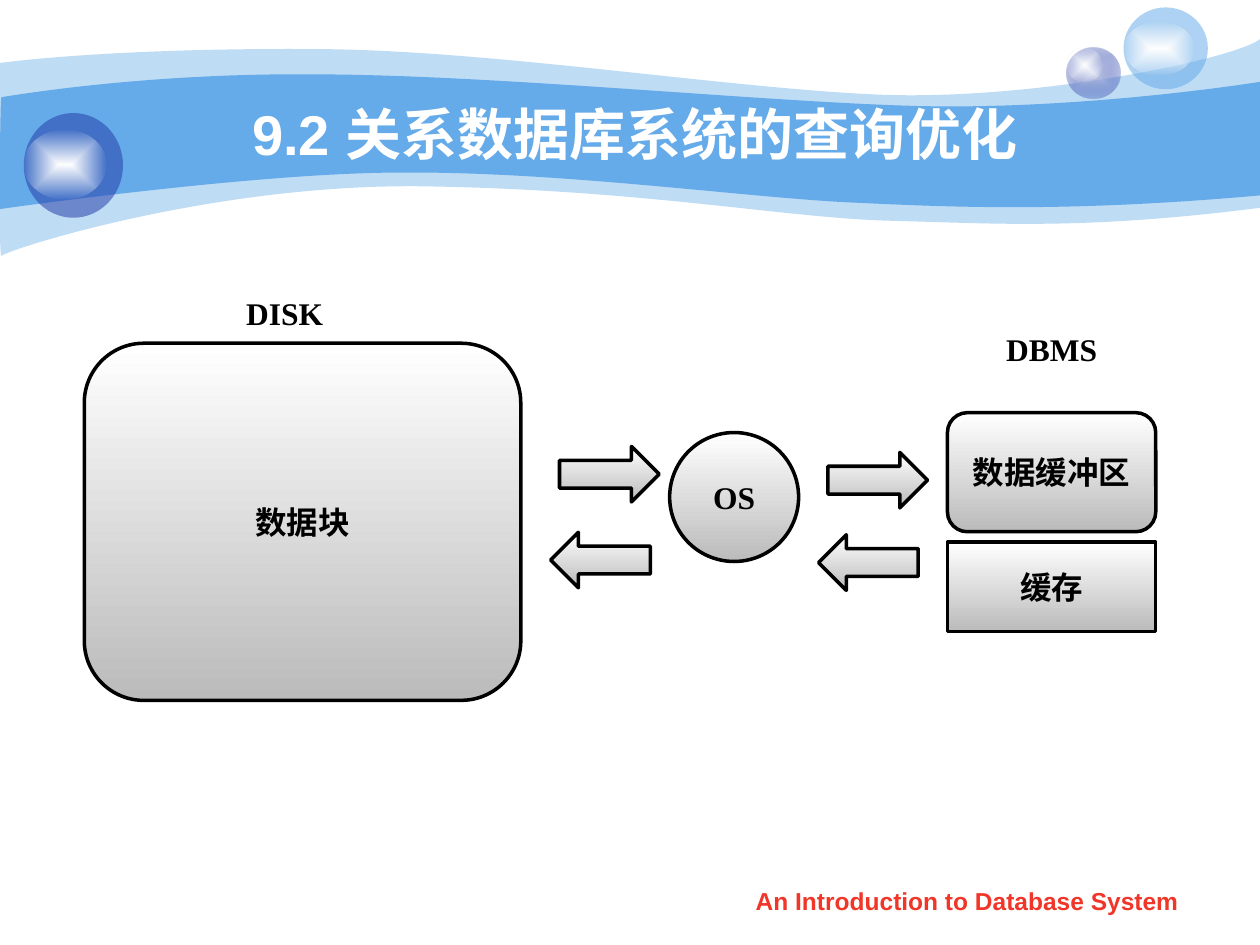
from lxml import etree
from pptx import Presentation
from pptx.dml.color import RGBColor
from pptx.enum.shapes import MSO_SHAPE
from pptx.enum.text import MSO_ANCHOR, PP_ALIGN
from pptx.oxml import parse_xml
from pptx.oxml.ns import nsdecls, qn
from pptx.util import Cm, Pt

COLORS = {
    "sky": "65AAE9", "navy": "233DA9", "lavender": "C7CEE9", "white": "FFFFFF",
    "gray": "BBBBBB", "black": "000000", "red": "F03628",
}
SERIF, SANS = "Times New Roman", "Arial"

# Content: all lengths in centimetres, boxes as left, top, width, height
TITLE = ("9.2 关系数据库系统的查询优化", (2.54, 1.9, 20.53, 1.58))
FOOTER = ("An Introduction to Database System", (14.5, 17.73, 10, 0.89))
LABELS = [
    ("DISK", (4.71, 5.8, 2.06, 1.02)),
    ("DBMS", (20.03, 6.53, 2.34, 1.02)),
]
NODES = [
    ("数据块", MSO_SHAPE.ROUNDED_RECTANGLE, (1.7, 6.92, 8.8, 7.2)),
    ("数据缓冲区", MSO_SHAPE.ROUNDED_RECTANGLE, (19.1, 8.32, 4.2, 2.4)),
    ("OS", MSO_SHAPE.OVAL, (13.5, 8.72, 2.6, 2.6)),
    ("缓存", MSO_SHAPE.RECTANGLE, (19.1, 10.93, 4.2, 1.8)),
]
ARROW_SIZE = (2.01, 1.12)
ARROWS = [(11.28, 9, 0), (16.69, 9.12, 0), (11.1, 10.73, 180), (16.5, 10.78, 180)]

# Waves: start point, then Bezier segments (six numbers) and lines (two numbers)
WAVES = [
    (41, (0, 1.27), [
        (0.61, 1.19, 2.72, 0.97, 6.27, 0.99), (9.8, 0.99, 14.61, 1.78, 17.75, 1.91),
        (20.88, 2.03, 24.89, 1.19, 25.4, 0.79), (25.4, 4.19),
        (21.79, 4.65, 19.99, 4.5, 17.91, 4.45), (15.8, 4.39, 13.08, 3.84, 8.71, 3.76),
        (4.37, 3.66, 0.1, 5.05, 0.03, 5.16), (-0.03, 5.28, 0, 1.91, 0, 1.27)]),
    (100, (0.03, 1.96), [
        (0.05, 1.96, 2.79, 1.47, 6.3, 1.5), (9.8, 1.5, 15.11, 2.03, 18.24, 2.13),
        (21.36, 2.24, 24.79, 1.75, 25.4, 1.65), (25.4, 3.94),
        (21.67, 4.27, 19.43, 4.19, 17.32, 4.09), (15.21, 4.01, 11.35, 3.45, 8.05, 3.48),
        (5.16, 3.48, -0.05, 4.22, -0.03, 4.22), (0, 4.22, 0, 1.96, 0.03, 1.96)]),
]
# Bubbles: body box, body stops (colour, opacity), highlight box
BUBBLES = [
    ((21.51, 0.97, 1.07, 1.02), [("lavender", 100), ("navy", 31)], (21.51, 0.97, 0.71, 0.69)),
    ((22.65, 0.15, 1.7, 1.65), [("sky", 53)], (22.65, 0.43, 1.42, 1.09)),
    ((0.48, 2.28, 2, 2.11), [("navy", 53)], (0.48, 2.61, 1.67, 1.42)),
]
HIGHLIGHT = [("white", 100), ("white", 0)]
PANEL = [("white", 100), ("gray", 100)]


def color_of(name):
    return RGBColor.from_string(COLORS[name])


def lengths(values):
    return [Cm(value) for value in values]


def color_xml(name, opacity):
    alpha = f'<a:alpha val="{opacity * 1000}"/>' if opacity < 100 else ""
    return f'<a:srgbClr {nsdecls("a")} val="{COLORS[name]}">{alpha}</a:srgbClr>'


def paint(shape, stops, radial=False, line=None):
    """Fill with one colour or a two-stop gradient, and set the outline."""
    shape.shadow.inherit = False
    shape.fill.solid()
    shape.fill.fore_color.rgb = color_of(stops[0][0])
    solid = shape._element.spPr.find(qn("a:solidFill"))
    if len(stops) == 1:
        solid.replace(solid[0], parse_xml(color_xml(*stops[0])))
    else:
        stop_xml = "".join(
            f'<a:gs pos="{position}">{color_xml(*stop)}</a:gs>'
            for position, stop in zip((0, 100000), stops))
        direction = (
            '<a:path path="rect"><a:fillToRect l="50000" t="50000" r="50000" b="50000"/></a:path>'
            if radial else '<a:lin ang="5400000" scaled="0"/>')
        gradient = parse_xml(
            f'<a:gradFill {nsdecls("a")} rotWithShape="0"><a:gsLst>{stop_xml}</a:gsLst>'
            f'{direction}</a:gradFill>')
        solid.getparent().replace(solid, gradient)
    if line:
        shape.line.color.rgb = color_of(line)
        shape.line.width = Pt(2)
    else:
        shape.line.fill.background()


def write(shape, text, size=18, font=SERIF, color="black", anchor=MSO_ANCHOR.MIDDLE, wrap=False):
    frame = shape.text_frame
    frame.word_wrap = wrap
    frame.vertical_anchor = anchor
    paragraph = frame.paragraphs[0]
    paragraph.alignment = PP_ALIGN.CENTER
    run = paragraph.add_run()
    run.text = text
    run.font.size = Pt(size)
    run.font.name = font
    run.font.bold = True
    run.font.color.rgb = color_of(color)


def add_curve(shapes, start, segments):
    """Build an outline through all points, then join each three into a Bezier curve."""
    builder = shapes.build_freeform(*lengths(start))
    for segment in segments:
        points = zip(segment[::2], segment[1::2])
        builder.add_line_segments([lengths(point) for point in points], close=False)
    shape = builder.convert_to_shape()
    outline = next(shape._element.iter(qn("a:path")))
    steps = iter(outline.findall(qn("a:lnTo")))
    for segment in segments:
        first = next(steps)
        if len(segment) == 6:
            curve = etree.Element(qn("a:cubicBezTo"))
            outline.replace(first, curve)
            curve.append(first[0])
            for step in (next(steps), next(steps)):
                curve.append(step[0])
                outline.remove(step)
    etree.SubElement(outline, qn("a:close"))
    return shape


def main():
    presentation = Presentation()
    presentation.slide_width, presentation.slide_height = Cm(25.4), Cm(19.05)
    slide = presentation.slides.add_slide(presentation.slide_layouts[5])
    shapes = slide.shapes
    title = shapes.title

    # Header waves
    for opacity, start, segments in WAVES:
        paint(add_curve(shapes, start, segments), [("sky", opacity)])

    # Bubbles, each grouped with its highlight
    for body_box, stops, highlight_box in BUBBLES:
        bubble = shapes.add_group_shape()
        for box, fill in ((body_box, stops), (highlight_box, HIGHLIGHT)):
            paint(bubble.shapes.add_shape(MSO_SHAPE.OVAL, *lengths(box)), fill, radial=True)

    # Footer
    text, box = FOOTER
    write(shapes.add_textbox(*lengths(box)), text, size=14, font=SANS, color="red",
          anchor=MSO_ANCHOR.TOP, wrap=True)

    # Title, brought in front of the header
    text, box = TITLE
    title.left, title.top, title.width, title.height = lengths(box)
    write(title, text, size=32, font=SANS, color="white", wrap=True)
    shapes._spTree.append(title._element)

    # Labels
    for text, box in LABELS:
        write(shapes.add_textbox(*lengths(box)), text, anchor=MSO_ANCHOR.TOP)

    # Storage and system nodes
    for text, kind, box in NODES:
        node = shapes.add_shape(kind, *lengths(box))
        paint(node, PANEL, line="black")
        write(node, text)

    # Data flow arrows
    for left, top, rotation in ARROWS:
        arrow = shapes.add_shape(MSO_SHAPE.RIGHT_ARROW, *lengths((left, top, *ARROW_SIZE)))
        arrow.rotation = rotation
        paint(arrow, PANEL, line="black")

    presentation.save("out.pptx")


if __name__ == "__main__":
    main()
